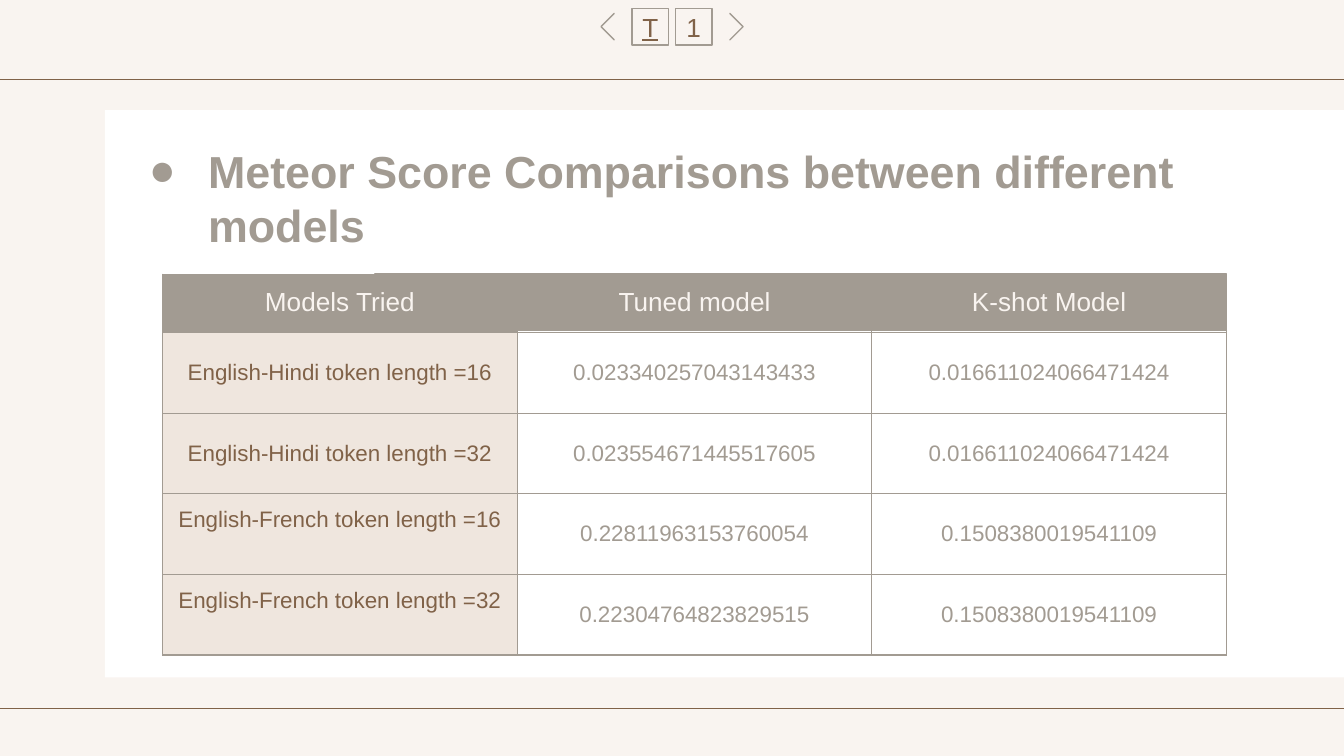
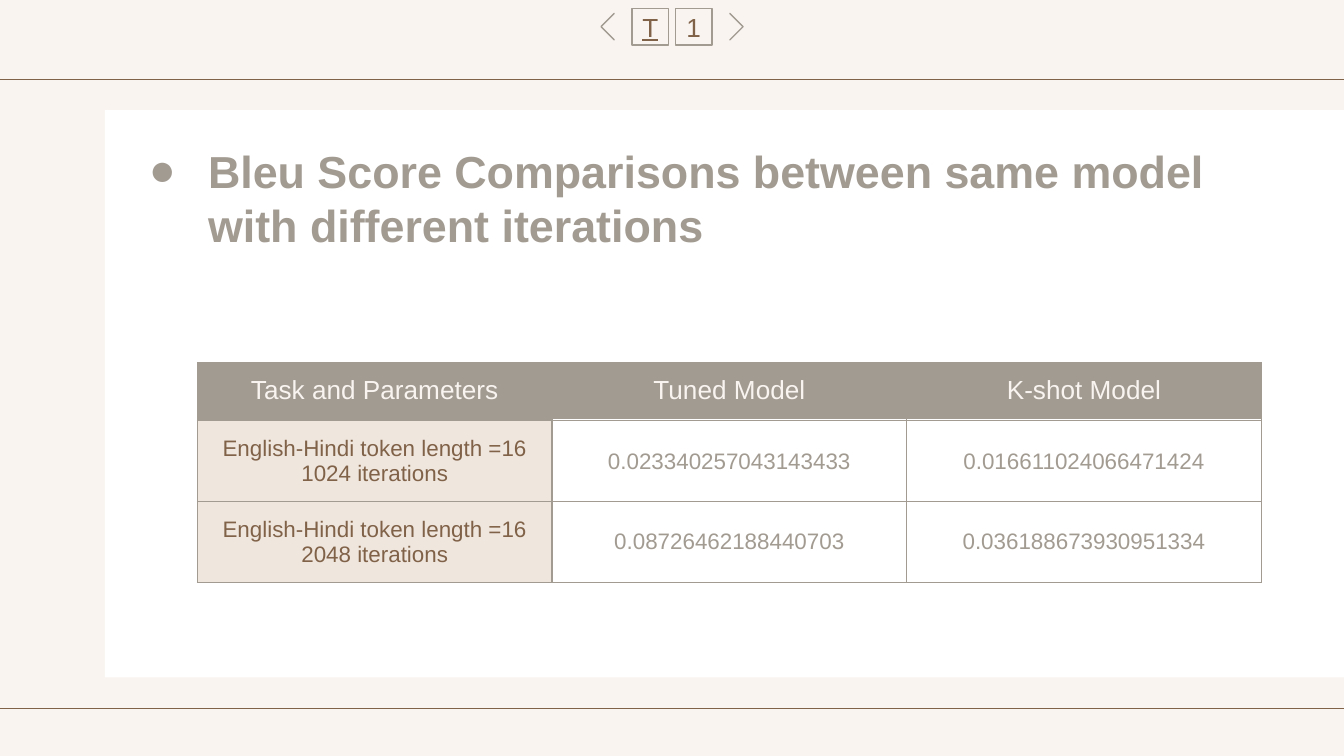
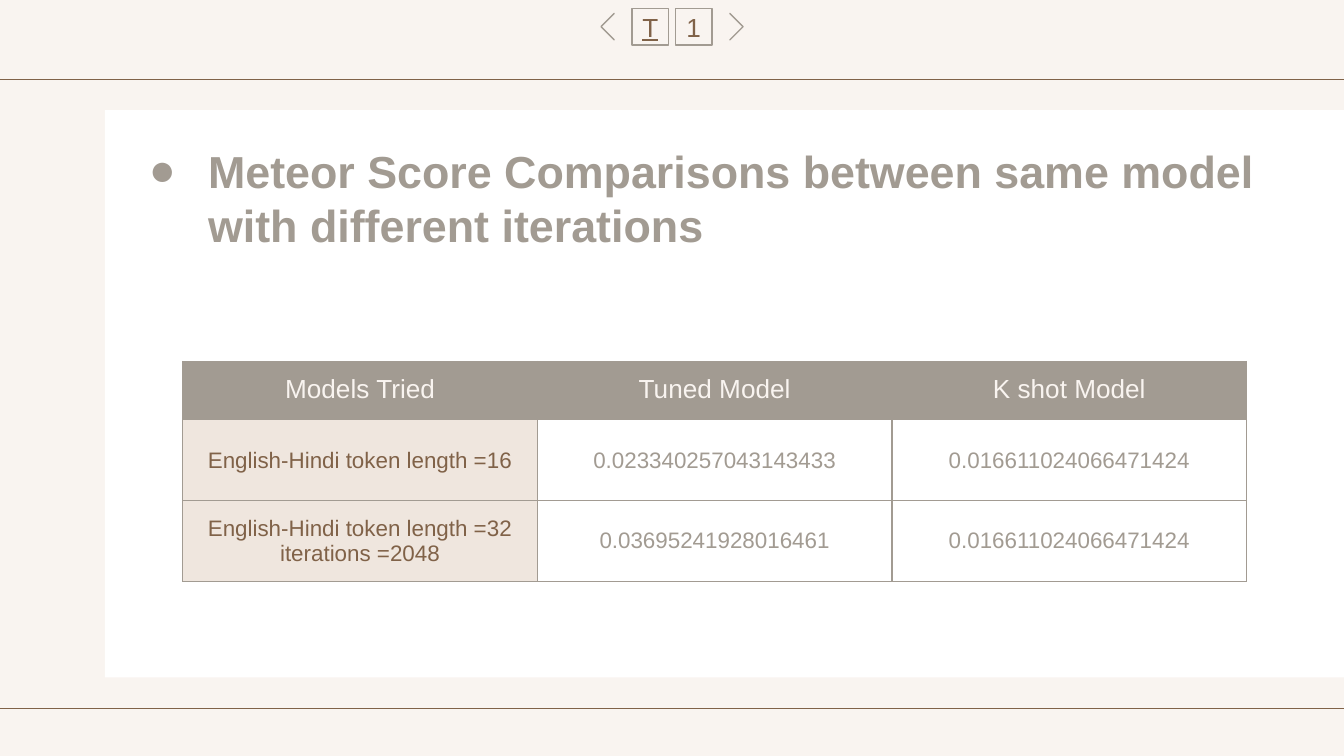
from dataclasses import dataclass
from typing import Optional

from lxml import etree
from pptx import Presentation
from pptx.dml.color import RGBColor
from pptx.enum.shapes import MSO_SHAPE
from pptx.enum.text import MSO_ANCHOR, PP_ALIGN
from pptx.oxml.ns import qn
from pptx.util import Pt

CENTER = PP_ALIGN.CENTER
TOP, MIDDLE = MSO_ANCHOR.TOP, MSO_ANCHOR.MIDDLE
RECTANGLE, HALF_FRAME = MSO_SHAPE.RECTANGLE, MSO_SHAPE.HALF_FRAME


@dataclass(frozen=True)
class Theme:
    font: str = "Arial"
    paper: str = "F9F4F0"
    card: str = "FFFFFF"
    brown: str = "806248"
    taupe: str = "A29B92"
    beige: str = "EFE6DE"
    title_size: float = 24
    header_size: float = 14
    body_size: float = 12
    line: float = 0.75
    inset: float = 7.2


@dataclass(frozen=True)
class Frame:
    left: float
    top: float
    width: float
    height: float

    def lengths(self) -> tuple:
        return Pt(self.left), Pt(self.top), Pt(self.width), Pt(self.height)


@dataclass(frozen=True)
class ScoreRow:
    label: str
    tuned: str
    k_shot: str
    label_anchor: MSO_ANCHOR = MIDDLE


@dataclass(frozen=True)
class ScorePage:
    title: str
    left: float
    top: float
    headers: tuple[str, str, str]
    rows: list[ScoreRow]
    band_left: Optional[float] = None


THEME = Theme()
SLIDE_WIDTH, SLIDE_HEIGHT = 720, 405
CARD = Frame(56.2, 59, 677.5, 304)
RULES = Frame(-35.3, 42.5, 792, 337)
TITLE = Frame(68.4, 69.8, 628, 282)
NAV_CENTER, NAV_TOP, NAV_SIZE, NAV_GAP = SLIDE_WIDTH / 2, 4.5, 19.6, 3.6
ARROW_TOP, ARROW_SIZE, ARROW_OFFSET = 9.3, 10, 31
COLUMN_WIDTH, HEADER_HEIGHT, ROW_HEIGHT = 190, 31, 43.2
BAND_HEIGHT = 30.2

HINDI_16 = "English-Hindi token length =16"
HINDI_32 = "English-Hindi token length =32"
HINDI_TUNED_16 = "0.023340257043143433"
HINDI_K_SHOT = "0.016611024066471424"
FRENCH_K_SHOT = "0.1508380019541109"

PAGES = [
    ScorePage(
        "Meteor Score Comparisons between different models", 87.1, 146.9,
        ("Models Tried", "Tuned model", "K-shot Model"),
        [
            ScoreRow(HINDI_16, HINDI_TUNED_16, HINDI_K_SHOT),
            ScoreRow(HINDI_32, "0.023554671445517605", HINDI_K_SHOT),
            ScoreRow("English-French token length =16", "0.22811963153760054", FRENCH_K_SHOT, TOP),
            ScoreRow("English-French token length =32", "0.22304764823829515", FRENCH_K_SHOT, TOP),
        ],
        band_left=201,
    ),
    ScorePage(
        "Bleu Score Comparisons between same model with different iterations", 105.8, 194.2,
        ("Task and Parameters", "Tuned Model", "K-shot Model"),
        [
            ScoreRow(f"{HINDI_16} 1024 iterations", HINDI_TUNED_16, HINDI_K_SHOT),
            ScoreRow(f"{HINDI_16} 2048 iterations", "0.08726462188440703", "0.036188673930951334"),
        ],
    ),
    ScorePage(
        "Meteor Score Comparisons between same model with different iterations", 97.9, 193.7,
        ("Models Tried", "Tuned Model", "K shot Model"),
        [
            ScoreRow(HINDI_16, HINDI_TUNED_16, HINDI_K_SHOT),
            ScoreRow(f"{HINDI_32} iterations =2048", "0.03695241928016461", HINDI_K_SHOT),
        ],
    ),
]


def rgb(color: str) -> RGBColor:
    return RGBColor.from_string(color)


def add_span(para, text: str, size: float, color: str, bold: bool = False, underline: bool = False) -> None:
    span = para.add_run()
    span.text = text
    span.font.name = THEME.font
    span.font.size = Pt(size)
    span.font.color.rgb = rgb(color)
    span.font.bold = bold
    span.font.underline = underline


def add_box(page, frame: Frame, fill: Optional[str] = None, line: Optional[str] = None, kind=RECTANGLE):
    box = page.shapes.add_shape(kind, *frame.lengths())
    box.shadow.inherit = False
    if fill:
        box.fill.solid()
        box.fill.fore_color.rgb = rgb(fill)
    else:
        box.fill.background()
    if line:
        box.line.color.rgb = rgb(line)
        box.line.width = Pt(THEME.line)
    else:
        box.line.fill.background()
    return box


def add_backdrop(page) -> None:
    page.background.fill.solid()
    page.background.fill.fore_color.rgb = rgb(THEME.paper)
    add_box(page, CARD, fill=THEME.card)
    add_box(page, RULES, line=THEME.brown)


def add_title(page, title: str) -> None:
    box = page.shapes.add_textbox(*TITLE.lengths())
    text = box.text_frame
    text.word_wrap = True
    text.margin_left = text.margin_right = Pt(THEME.inset)
    text.margin_top = text.margin_bottom = Pt(THEME.inset)
    para = text.paragraphs[0]
    properties = para._p.get_or_add_pPr()
    properties.set("marL", str(Pt(36)))
    properties.set("indent", str(-Pt(31.7)))
    bullet_color = etree.SubElement(properties, qn("a:buClr"))
    etree.SubElement(bullet_color, qn("a:srgbClr"), val=THEME.taupe)
    etree.SubElement(properties, qn("a:buFont"), typeface=THEME.font)
    etree.SubElement(properties, qn("a:buChar"), char="●")
    add_span(para, title, THEME.title_size, THEME.taupe, bold=True)


def add_nav_button(page, left: float, label: str, underline: bool) -> None:
    box = add_box(page, Frame(left, NAV_TOP, NAV_SIZE, NAV_SIZE), line=THEME.taupe)
    text = box.text_frame
    text.word_wrap = True
    text.margin_left = text.margin_right = 0
    text.margin_top = text.margin_bottom = Pt(THEME.inset)
    text.vertical_anchor = MIDDLE
    para = text.paragraphs[0]
    para.alignment = CENTER
    add_span(para, label, THEME.header_size, THEME.brown, underline=underline)


def add_nav_arrow(page, center: float, rotation: float, flipped: bool) -> None:
    frame = Frame(center - ARROW_SIZE / 2, ARROW_TOP, ARROW_SIZE, ARROW_SIZE)
    arrow = add_box(page, frame, THEME.brown, THEME.taupe, HALF_FRAME)
    arrow.adjustments[0] = arrow.adjustments[1] = 0
    arrow.rotation = rotation
    if flipped:
        arrow._element.spPr.find(qn("a:xfrm")).set("flipH", "1")


def add_navigation(page) -> None:
    add_nav_button(page, NAV_CENTER - NAV_GAP / 2 - NAV_SIZE, "T", underline=True)
    add_nav_arrow(page, NAV_CENTER + ARROW_OFFSET, 135, flipped=False)
    add_nav_button(page, NAV_CENTER + NAV_GAP / 2, "1", underline=False)
    add_nav_arrow(page, NAV_CENTER - ARROW_OFFSET, 225, flipped=True)


def set_borders(cell) -> None:
    properties = cell._tc.get_or_add_tcPr()
    for position, side in enumerate(("a:lnL", "a:lnR", "a:lnT", "a:lnB")):
        border = etree.Element(qn(side), w=str(Pt(THEME.line)))
        fill = etree.SubElement(border, qn("a:solidFill"))
        etree.SubElement(fill, qn("a:srgbClr"), val=THEME.taupe)
        properties.insert(position, border)


def fill_cell(cell, text: str, size: float, color: str, fill: Optional[str], anchor: MSO_ANCHOR) -> None:
    cell.margin_left = cell.margin_right = Pt(THEME.inset)
    cell.margin_top = cell.margin_bottom = Pt(THEME.inset)
    cell.vertical_anchor = anchor
    if fill:
        cell.fill.solid()
        cell.fill.fore_color.rgb = rgb(fill)
    else:
        cell.fill.background()
    set_borders(cell)
    para = cell.text_frame.paragraphs[0]
    para.alignment = CENTER
    add_span(para, text, size, color)


def add_scores(page, scores: ScorePage) -> None:
    """Draw the table over the band that colours its unfilled header cells."""
    columns = len(scores.headers)
    width = columns * COLUMN_WIDTH
    band_left = scores.band_left or scores.left + COLUMN_WIDTH
    band = Frame(band_left, scores.top, scores.left + width - band_left, BAND_HEIGHT)
    add_box(page, band, THEME.taupe, THEME.taupe)

    height = HEADER_HEIGHT + len(scores.rows) * ROW_HEIGHT
    frame = Frame(scores.left, scores.top, width, height)
    table = page.shapes.add_table(len(scores.rows) + 1, columns, *frame.lengths()).table
    table.first_row = table.horz_banding = False
    for column in table.columns:
        column.width = Pt(COLUMN_WIDTH)
    for index, row in enumerate(table.rows):
        row.height = Pt(ROW_HEIGHT if index else HEADER_HEIGHT)

    for column, header in enumerate(scores.headers):
        fill = None if column else THEME.taupe
        fill_cell(table.cell(0, column), header, THEME.header_size, THEME.paper, fill, TOP)
    for index, row in enumerate(scores.rows, start=1):
        fill_cell(table.cell(index, 0), row.label, THEME.body_size, THEME.brown, THEME.beige, row.label_anchor)
        for column, value in enumerate((row.tuned, row.k_shot), start=1):
            fill_cell(table.cell(index, column), value, THEME.body_size, THEME.taupe, None, MIDDLE)


def main() -> None:
    deck = Presentation()
    deck.slide_width, deck.slide_height = Pt(SLIDE_WIDTH), Pt(SLIDE_HEIGHT)
    blank = deck.slide_layouts[6]
    for scores in PAGES:
        page = deck.slides.add_slide(blank)
        add_backdrop(page)
        add_title(page, scores.title)
        add_navigation(page)
        add_scores(page, scores)
    deck.save("out.pptx")


if __name__ == "__main__":
    main()
